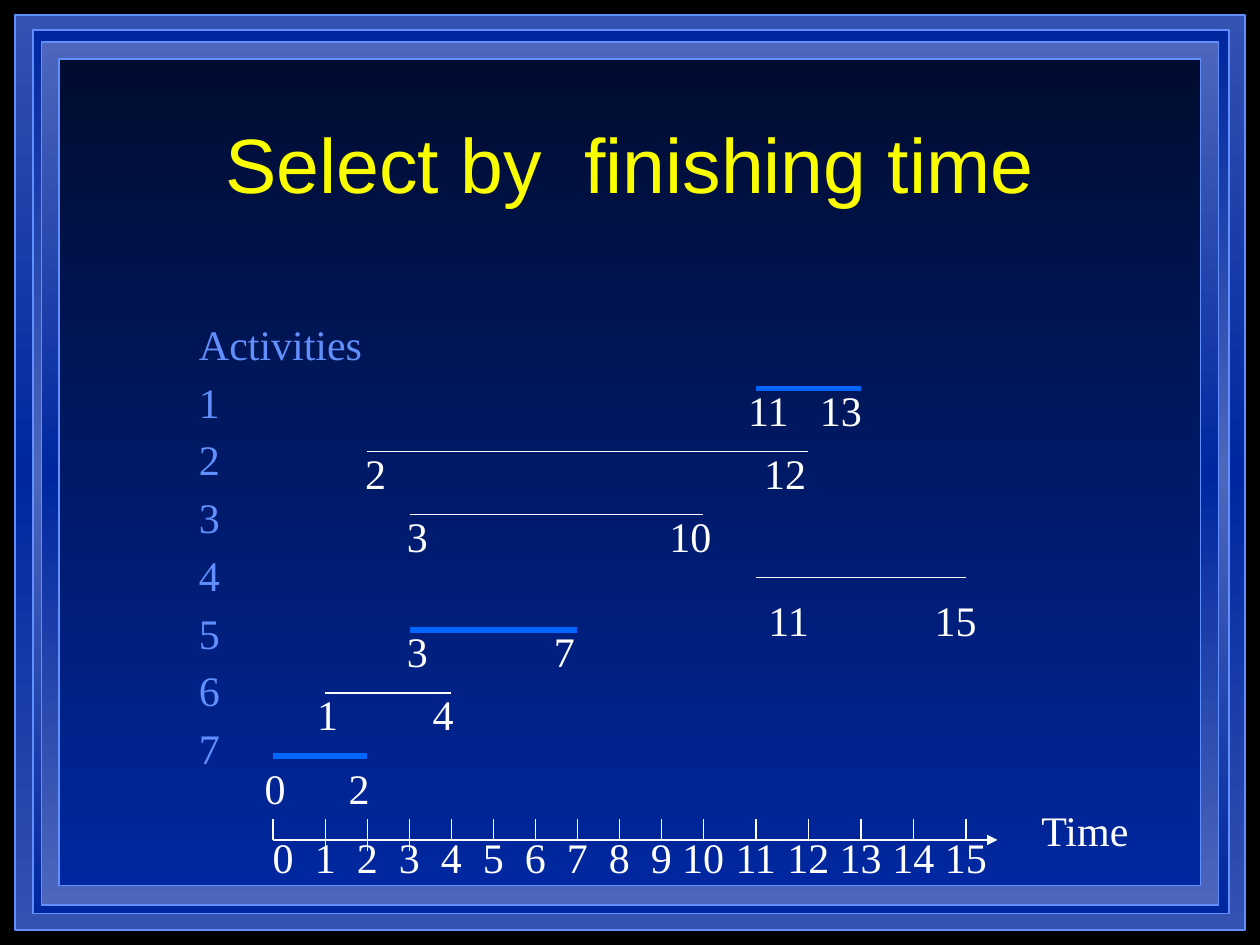
"""Build the slide that selects activities by finishing time."""
from copy import deepcopy
from dataclasses import dataclass

from lxml import etree
from pptx import Presentation
from pptx import util as u
from pptx.dml.color import RGBColor
from pptx.enum import shapes, text
from pptx.oxml import ns

Pt = u.Pt
BLACK = RGBColor(0x00, 0x00, 0x00)
WHITE = RGBColor(0xFF, 0xFF, 0xFF)
YELLOW = RGBColor(0xFA, 0xFD, 0x00)
PALE_BLUE = RGBColor(0x61, 0x8F, 0xFD)
BRIGHT_BLUE = RGBColor(0x00, 0x66, 0xFF)
DEEP_BLUE = RGBColor(0x00, 0x27, 0x9F)
MID_BLUE = RGBColor(0x33, 0x52, 0xB2)
SOFT_BLUE = RGBColor(0x4C, 0x67, 0xBC)
NIGHT = RGBColor(0x00, 0x0C, 0x2F)

SERIF = "Times New Roman"
INSET = 7.2
AXIS_Y = 480
TICK_TOP = 468
LABEL_HEIGHT = 36
TICKS = [156] + [162 + 24 * n for n in range(1, 11)] + [102 + 30 * n for n in range(11, 16)]


@dataclass
class Frame:
    left: float
    top: float
    width: float
    height: float
    colors: tuple


@dataclass
class Activity:
    start: int
    finish: int
    y: float
    label_left: float
    label_top: float
    label_gap: float
    chosen: bool = False


FRAMES = [
    Frame(8.6, 8.6, 702.8, 522.8, (MID_BLUE, DEEP_BLUE, MID_BLUE)),
    Frame(18.7, 17.3, 683.5, 504.7, (DEEP_BLUE, SOFT_BLUE, DEEP_BLUE)),
    Frame(23.8, 23.8, 672.5, 493.2, (SOFT_BLUE, DEEP_BLUE, SOFT_BLUE)),
    Frame(33.8, 33.8, 652.3, 472.3, (NIGHT, DEEP_BLUE)),
]
ACTIVITIES = [
    Activity(11, 13, 222, 420.5, 216, 41, chosen=True),
    Activity(2, 12, 258, 201.6, 252, 228),
    Activity(3, 10, 294, 225.4, 288, 150),
    Activity(11, 15, 330, 432, 336, 95),
    Activity(3, 7, 360, 225.4, 354, 84, chosen=True),
    Activity(1, 4, 396, 174.2, 390, 66),
    Activity(0, 2, 432, 144.2, 432, 48, chosen=True),
]


def add_frame(s, frame: Frame) -> None:
    sp = s.shapes.add_shape(shapes.MSO_SHAPE.RECTANGLE, Pt(frame.left), Pt(frame.top),
                            Pt(frame.width), Pt(frame.height))
    sp.shadow.inherit = False
    sp.line.color.rgb = PALE_BLUE
    sp.line.width = Pt(1)
    sp.fill.gradient()
    sp.fill.gradient_angle = 270
    if len(frame.colors) == 3:
        gs_list = sp.element.find(".//" + ns.qn("a:gsLst"))
        gs_list.append(deepcopy(gs_list[0]))
    for n, (stop, color) in enumerate(zip(sp.fill.gradient_stops, frame.colors)):
        stop.position = n / (len(frame.colors) - 1)
        stop.color.rgb = color


def add_line(s, x1: float, y1: float, x2: float, y2: float,
             color: RGBColor = WHITE, width: float = 1):
    line = s.shapes.add_connector(shapes.MSO_CONNECTOR.STRAIGHT, Pt(x1), Pt(y1), Pt(x2), Pt(y2))
    line.line.color.rgb = color
    line.line.width = Pt(width)
    etree.SubElement(line.element.spPr, ns.qn("a:effectLst"))
    return line


def add_run(p, content: str, color: RGBColor, size: float = 24, font: str = SERIF) -> None:
    r = p.add_run()
    r.text = content
    r.font.size = Pt(size)
    r.font.name = font
    r.font.color.rgb = color


def add_box(s, left: float, top: float, width: float, height: float = LABEL_HEIGHT):
    tf = s.shapes.add_textbox(Pt(left), Pt(top), Pt(width), Pt(height)).text_frame
    tf.word_wrap = True
    return tf


def set_tabs(p, positions: list, align: str) -> None:
    tabs = etree.SubElement(p._p.get_or_add_pPr(), ns.qn("a:tabLst"))
    for position in positions:
        etree.SubElement(tabs, ns.qn("a:tab"), pos=str(int(Pt(position))), algn=align)


def add_title(s, content: str) -> None:
    sp = s.shapes.title
    sp.left, sp.top, sp.width, sp.height = Pt(54), Pt(48), Pt(612), Pt(90)
    s.shapes.element.append(sp.element)
    tf = sp.text_frame
    tf.vertical_anchor = text.MSO_ANCHOR.MIDDLE
    p = tf.paragraphs[0]
    p.alignment = text.PP_ALIGN.CENTER
    add_run(p, content, YELLOW, 44, "Arial")


def add_axis(s) -> None:
    axis = add_line(s, TICKS[0], AXIS_Y, 570, AXIS_Y)
    etree.SubElement(axis.line._get_or_add_ln(), ns.qn("a:tailEnd"), type="triangle")
    for n, x in enumerate(TICKS):
        add_line(s, x, TICK_TOP, x, 486 if 1 <= n <= 3 else AXIS_Y)
    left = TICKS[0] - INSET
    p = add_box(s, left, 471.6, 424).paragraphs[0]
    set_tabs(p, [x - TICKS[0] for x in TICKS[1:]], "ctr")
    add_run(p, "\t".join(str(n) for n in range(len(TICKS))), WHITE)
    add_run(add_box(s, 588, 456, 66).paragraphs[0], "Time", WHITE)


def add_activity(s, a: Activity) -> None:
    color, width = (BRIGHT_BLUE, 3) if a.chosen else (WHITE, 1)
    add_line(s, TICKS[a.start], a.y, TICKS[a.finish], a.y, color, width)
    p = add_box(s, a.label_left, a.label_top, a.label_gap + 42).paragraphs[0]
    set_tabs(p, [a.label_gap], "l")
    add_run(p, f"{a.start}\t{a.finish}", WHITE)


def add_activity_list(s) -> None:
    tf = add_box(s, 106.6, 174.2, 110, 271.4)
    for n in range(len(ACTIVITIES) + 1):
        p = tf.add_paragraph() if n else tf.paragraphs[0]
        p.line_spacing = Pt(33)
        add_run(p, str(n) if n else "Activities", PALE_BLUE)


def main() -> None:
    prs = Presentation()
    prs.slide_width, prs.slide_height = Pt(720), Pt(540)
    s = prs.slides.add_slide(prs.slide_layouts[5])
    s.background.fill.solid()
    s.background.fill.fore_color.rgb = BLACK
    for frame in FRAMES:
        add_frame(s, frame)
    add_title(s, "Select by  finishing time")
    add_axis(s)
    for activity in ACTIVITIES:
        add_activity(s, activity)
    add_activity_list(s)
    prs.save("out.pptx")


if __name__ == "__main__":
    main()
